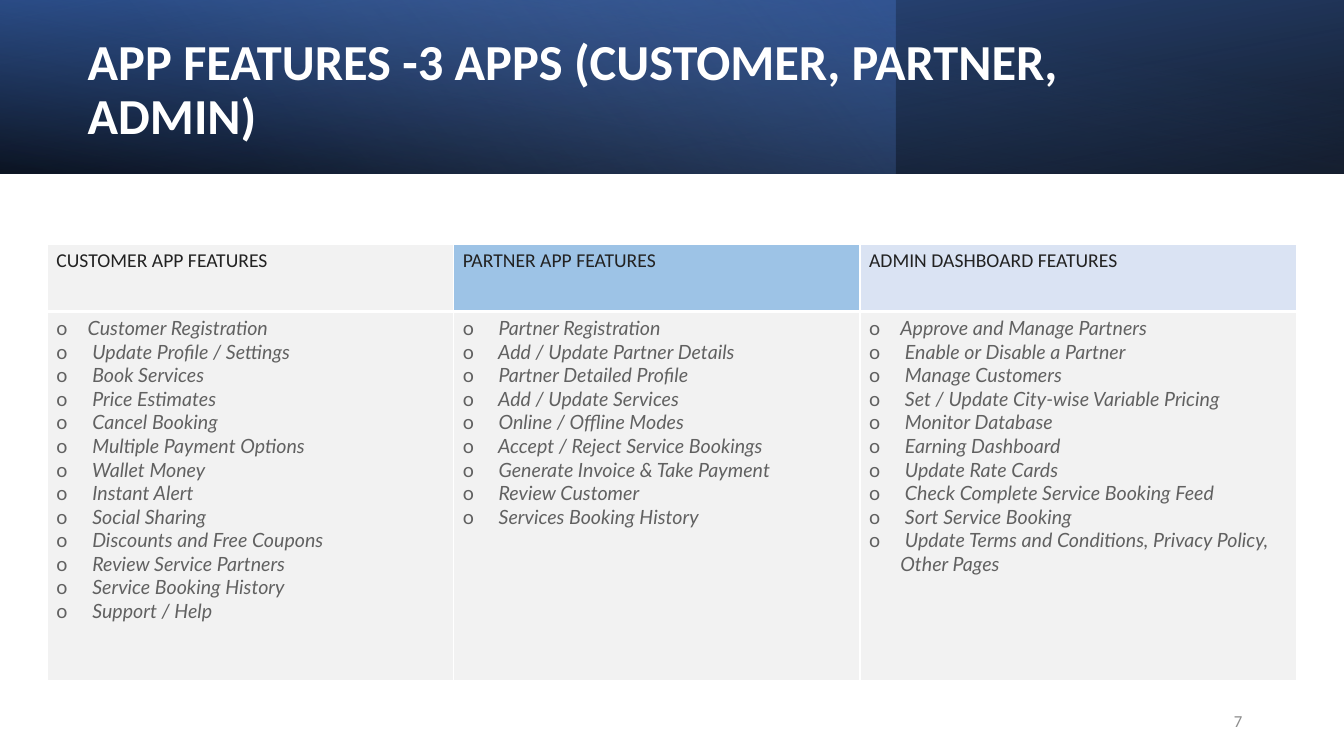
import pptx
import pptx.util
import pptx.dml.color
import pptx.enum.shapes
import pptx.enum.text
import pptx.oxml
import pptx.oxml.ns

Inches = pptx.util.Inches
COLORS = {
    "white": "FFFFFF", "black": "000000", "navy": "2F5597", "blue": "4472C4",
    "sky": "8FAADC", "ink": "222222", "body": "616161", "number": "8C8C8C",
    "gray": "F2F2F2", "partner": "9DC3E6", "admin": "DAE3F3",
}
COLUMNS = [
    ("CUSTOMER APP FEATURES", "gray", 4.03, [
        "Customer Registration", "\u00a0Update Profile / Settings",
        "\u00a0Book Services", "\u00a0Price Estimates", "\u00a0Cancel Booking",
        "\u00a0Multiple Payment Options", "\u00a0Wallet Money",
        "\u00a0Instant Alert", "\u00a0Social Sharing",
        "\u00a0Discounts and Free Coupons", "\u00a0Review Service Partners",
        "\u00a0Service Booking History", "\u00a0Support / Help"]),
    ("PARTNER APP FEATURES", "partner", 4.03, [
        "\u00a0Partner Registration", "\u00a0Add / Update Partner Details",
        "\u00a0Partner Detailed Profile", "\u00a0Add / Update Services",
        "\u00a0Online / Offline Modes", "\u00a0Accept / Reject Service Bookings",
        "\u00a0Generate Invoice & Take Payment", "\u00a0Review Customer",
        "\u00a0Services Booking History"]),
    ("ADMIN DASHBOARD FEATURES", "admin", 4.33, [
        "Approve and Manage Partners", "\u00a0Enable or Disable a Partner",
        "\u00a0Manage Customers", "\u00a0Set / Update City-wise Variable Pricing",
        "\u00a0Monitor Database", "\u00a0Earning Dashboard",
        "\u00a0Update Rate Cards", "\u00a0Check Complete Service Booking Feed",
        "\u00a0Sort Service Booking",
        "\u00a0Update Terms and Conditions, Privacy Policy, Other Pages"]),
]


def parse_xml(tag, attributes="", content=""):
    namespace = pptx.oxml.ns.nsdecls("a")
    return pptx.oxml.parse_xml(f"<a:{tag} {namespace} {attributes}>{content}</a:{tag}>")


def write_text(para, text, size=14, font="Calibri", color="ink", bold=False,
               italic=False, align=None, spacing=None):
    span = para.add_run()
    span.text = text
    span.font.size = pptx.util.Pt(size)
    span.font.name = font
    span.font.bold = bold
    span.font.italic = italic
    span.font.color.rgb = pptx.dml.color.RGBColor.from_string(COLORS[color])
    para.alignment = align
    para.line_spacing = spacing


def place(item, box):
    item.left, item.top, item.width, item.height = map(Inches, box)


def add_bullet(para):
    properties = para._p.get_or_add_pPr()
    properties.set("marL", str(Inches(0.31)))
    properties.set("indent", str(-Inches(0.31)))
    properties.append(parse_xml("buFont", 'typeface="Lato"'))
    properties.append(parse_xml("buChar", 'char="o"'))


def add_gradient(page, box, stops, angle, rotation=0, flip=False):
    band = page.shapes.add_shape(pptx.enum.shapes.MSO_SHAPE.RECTANGLE, *map(Inches, box))
    band.shadow.inherit = False
    band.line.fill.background()
    band.rotation = rotation
    properties = band.element.spPr
    if flip:
        properties.xfrm.set("flipH", "1")
    colors = "".join(
        f'<a:gs pos="{position * 1000}"><a:srgbClr val="{COLORS[color]}">'
        f'<a:alpha val="{alpha * 1000}"/></a:srgbClr></a:gs>'
        for position, color, alpha in stops)
    properties.insert(2, parse_xml(
        "gradFill", 'rotWithShape="1"',
        f'<a:gsLst>{colors}</a:gsLst><a:lin ang="{angle * 60000}" scaled="0"/>'))


def add_header(page, box):
    left, top, width, height = box
    add_gradient(page, box, [(0, "black", 96), (100, "navy", 100)], 100, 180, True)
    add_gradient(page, (left, top, width * 2 / 3, height),
                 [(0, "blue", 41), (74, "sky", 0)], 140)
    add_gradient(page, box, [(0, "black", 63), (78, "blue", 15)], 260, flip=True)
    title = page.shapes.title
    place(title, (left + 0.77, top + 0.27, 11.5, 1.27))
    title.text_frame.vertical_anchor = pptx.enum.text.MSO_ANCHOR.MIDDLE
    title.text_frame.word_wrap = True
    write_text(title.text_frame.paragraphs[0],
               "APP\u00a0FEATURES -3 APPS (CUSTOMER, PARTNER, ADMIN)",
               size=36, color="white", bold=True, spacing=0.9,
               align=pptx.enum.text.PP_ALIGN.LEFT)
    title.element.getparent().append(title.element)


def format_cell(cell, fill, top_width, bottom_width):
    cell.margin_left = cell.margin_right = Inches(0.09)
    cell.margin_top = cell.margin_bottom = Inches(0.05)
    properties = cell._tc.get_or_add_tcPr()
    widths = {"lnL": 1, "lnR": 1, "lnT": top_width, "lnB": bottom_width}
    for side, width in widths.items():
        properties.append(parse_xml(
            side, f'w="{pptx.util.Pt(width)}"',
            f'<a:solidFill><a:srgbClr val="{COLORS["white"]}"/></a:solidFill>'))
    cell.fill.solid()
    cell.fill.fore_color.rgb = pptx.dml.color.RGBColor.from_string(COLORS[fill])


def add_features(page, box):
    table = page.shapes.add_table(2, len(COLUMNS), *map(Inches, box)).table
    table.rows[0].height = Inches(0.67)
    table.rows[1].height = Inches(box[3] - 0.67)
    for index, (heading, fill, width, features) in enumerate(COLUMNS):
        table.columns[index].width = Inches(width)
        head, body = table.cell(0, index), table.cell(1, index)
        format_cell(head, fill, 1, 3)
        format_cell(body, "gray", 3, 1)
        write_text(head.text_frame.paragraphs[0], heading)
        for number, feature in enumerate(features):
            frame = body.text_frame
            para = frame.add_paragraph() if number else frame.paragraphs[0]
            write_text(para, feature, font="Lato", color="body", italic=True)
            add_bullet(para)


def add_page_number(page, box):
    frame = page.shapes.add_textbox(*map(Inches, box)).text_frame
    frame.word_wrap = True
    frame.vertical_anchor = pptx.enum.text.MSO_ANCHOR.MIDDLE
    write_text(frame.paragraphs[0], "7", size=12, color="number",
               align=pptx.enum.text.PP_ALIGN.RIGHT)


deck = pptx.Presentation()
deck.slide_width, deck.slide_height = Inches(13.33), Inches(7.5)
page = deck.slides.add_slide(deck.slide_layouts[5])
add_header(page, (0, 0, 13.33, 1.72))
add_features(page, (0.47, 2.42, 12.39, 4.33))
add_page_number(page, (9.42, 6.95, 3, 0.4))
deck.save("out.pptx")
